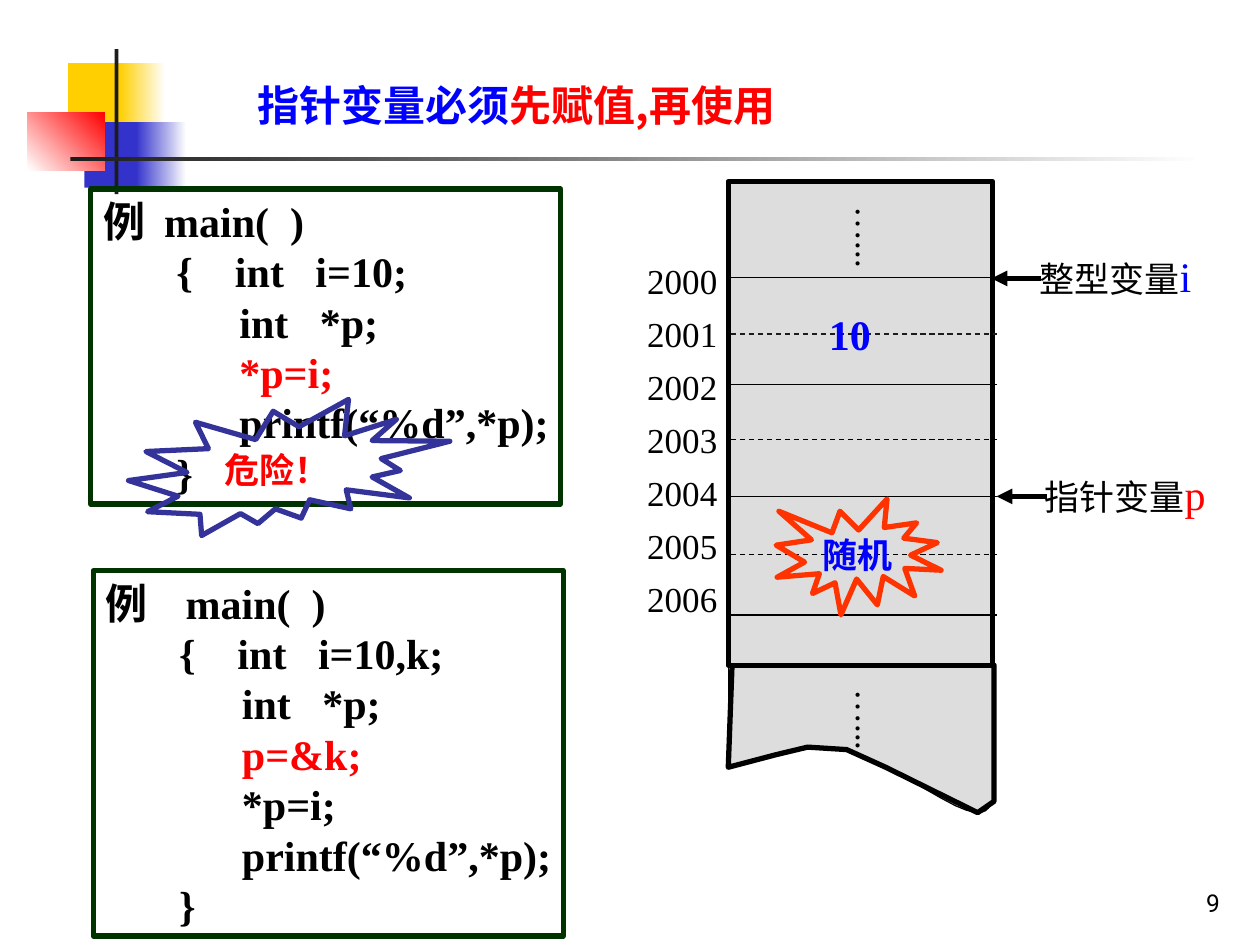
import pptx
import pptx.util
import pptx.dml.color
import pptx.enum.dml
import pptx.enum.shapes
import pptx.enum.text
import pptx.oxml
import pptx.oxml.ns
from lxml import etree

Inches, Pt = pptx.util.Inches, pptx.util.Pt
MSO_SHAPE = pptx.enum.shapes.MSO_SHAPE
ALIGN = pptx.enum.text.PP_ALIGN
ANCHOR = pptx.enum.text.MSO_ANCHOR
qn = pptx.oxml.ns.qn

COLORS = {"black": "000000", "white": "FFFFFF", "red": "FF0000", "blue": "0000FF",
          "yellow": "FFCF01", "indigo": "3333CC", "ink": "1C1C1C", "frame": "003300",
          "warning": "333399", "burst": "FF3300", "memory": "DDDDDD"}
SERIF, SANS, NUMBER_FONT = "Times New Roman", "Noto Sans CJK SC", "Roboto"

# A run is (text, colour) with optional size and font after it.
TITLE = [[("指针变量必须", "blue"), ("先赋值,再使用", "red")]]
UNSAFE_CODE = [
    [("例  ", "black", 24, SANS), ("main(  )", "black")],
    [("       {    int   i=10;", "black")],
    [("             int   *p;", "black")],
    [("             *p=i;", "red")],
    [("             printf(“%d”,*p);", "black")],
    [("       }", "black")],
]
SAFE_CODE = [
    [("例    main(  )", "black")],
    [("       {    int   i=10,k;", "black")],
    [("             int   *p;", "black")],
    [("             p=&k;", "red")],
    [("             *p=i;", "black")],
    [("             printf(“%d”,*p);", "black")],
    [("       }", "black")],
]
ADDRESSES = ["2000", "2001", "2002", "2003", "2004", "2005", "2006"]
VARIABLES = [  # label runs, label box, arrow start and end x, arrow y
    ([[("整型变量", "black"), ("i", "blue", 24)]], (8.15, 1.94, 1.47, 0.5), 8.26, 7.87, 2.21),
    ([[("指针变量", "black"), ("p", "red", 24)]], (8.19, 3.67, 1.54, 0.5), 8.31, 7.91, 3.94),
]
DECORATION = [  # box, gradient start, gradient end (None is solid), angle
    ((0.54, 0.5, 0.48, 0.52), "yellow", None, 0),
    ((0.95, 0.5, 0.36, 0.52), "yellow", "white", 0),
    ((0.67, 0.97, 0.46, 0.52), "indigo", None, 0),
    ((1.08, 0.97, 0.4, 0.52), "indigo", "white", 0),
    ((0.22, 0.89, 0.61, 0.46), "white", "red", 45),
    ((0.91, 0.39, 0.03, 1.15), "ink", None, 0),
    ((0.56, 1.25, 9, 0.03), "ink", "white", 0),
]
CELL_LINES = [  # y, colour, dashed
    (2.2, "black", False), (2.65, "ink", True), (3.05, "black", False),
    (3.49, "black", True), (3.94, "black", False), (4.4, "black", True),
    (4.88, "black", False),
]
TORN_EDGE = [(5.81, 5.28), (7.89, 5.28), (7.89, 6.36), (7.76, 6.45), (7.03, 6.09),
             (6.72, 5.95), (6.41, 5.93), (6.16, 5.99), (5.78, 6.09)]
TEAR_CURVE = [(5.78, 6.1), (6.06, 5.99), (6.34, 5.88), (6.65, 5.94), (6.97, 5.99),
              (7.47, 6.37), (7.67, 6.43), (7.88, 6.5), (7.85, 6.35), (7.89, 6.33)]


def rgb(name):
    return pptx.dml.color.RGBColor.from_string(COLORS[name])


def inches(values):
    return [Inches(value) for value in values]


def paint(shape, fill, line, width):
    shape.shadow.inherit = False
    if fill:
        shape.fill.solid()
        shape.fill.fore_color.rgb = rgb(fill)
    else:
        shape.fill.background()
    if line:
        shape.line.color.rgb = rgb(line)
        shape.line.width = Pt(width)
    else:
        shape.line.fill.background()


def add_box(kind, box, fill=None, line=None, width=3):
    shape = slide.shapes.add_shape(kind, *inches(box))
    paint(shape, fill, line, width)
    return shape


def add_outline(points, closed, fill, width):
    corners = [inches(point) for point in points]
    builder = slide.shapes.build_freeform(*corners[0], scale=1.0)
    builder.add_line_segments(corners[1:], close=closed)
    paint(builder.convert_to_shape(), fill, "black", width)


def add_line(x1, y1, x2, y2, color="black", width=0.75, dashed=False, arrow=False):
    line = slide.shapes.add_connector(
        pptx.enum.shapes.MSO_CONNECTOR.STRAIGHT, *inches((x1, y1, x2, y2)))
    line.line.color.rgb = rgb(color)
    line.line.width = Pt(width)
    if dashed:
        line.line.dash_style = pptx.enum.dml.MSO_LINE.DASH
    if arrow:
        etree.SubElement(line.line._get_or_add_ln(), qn("a:tailEnd"), type="triangle")
    etree.SubElement(line._element.spPr, qn("a:effectLst"))


def write(shape, paragraphs, size=20, bold=False, align=ALIGN.CENTER,
          anchor=ANCHOR.MIDDLE, font=SERIF, wrap=False):
    frame = shape.text_frame
    frame.word_wrap = wrap
    frame.auto_size = pptx.enum.text.MSO_AUTO_SIZE.NONE
    frame.vertical_anchor = anchor
    frame.margin_left = frame.margin_right = Inches(0.1)
    frame.margin_top = frame.margin_bottom = Inches(0.05)
    for index, runs in enumerate(paragraphs):
        paragraph = frame.paragraphs[0] if index == 0 else frame.add_paragraph()
        paragraph.alignment = align
        for text, color, *special in runs:
            run = paragraph.add_run()
            run.text = text
            run.font.size = Pt(special[0] if special else size)
            run.font.bold = bold
            run.font.color.rgb = rgb(color)
            run.font.name = special[1] if len(special) > 1 else font
            etree.SubElement(run.font._element, qn("a:ea"), typeface=SANS)


def add_text(box, paragraphs, **style):
    label = slide.shapes.add_textbox(*inches(box))
    write(label, paragraphs, **style)
    return label


def curve_points(controls, steps=8):
    """Sample a chain of cubic Bezier curves that share their end points."""
    points = [controls[0]]
    for start in range(0, len(controls) - 1, 3):
        a, b, c, d = controls[start:start + 4]
        for step in range(1, steps + 1):
            t = step / steps
            u = 1 - t
            points.append(tuple(
                u**3 * a[k] + 3 * u * u * t * b[k] + 3 * u * t * t * c[k] + t**3 * d[k]
                for k in (0, 1)))
    return points


presentation = pptx.Presentation()
presentation.slide_width, presentation.slide_height = Inches(10), Inches(7.5)
slide = presentation.slides.add_slide(presentation.slide_layouts[5])

for box, start, end, angle in DECORATION:
    block = add_box(MSO_SHAPE.RECTANGLE, box, start)
    if end:
        block.fill.gradient()
        block.fill.gradient_angle = angle
        for stop, color, position in zip(block.fill.gradient_stops, (start, end), (0, 1)):
            stop.color.rgb = rgb(color)
            stop.position = position

title = slide.shapes.title
title.left, title.top, title.width, title.height = inches((1.82, 0.58, 4.56, 0.5))
write(title, TITLE, size=24, bold=True, font=SANS)

unsafe = add_box(MSO_SHAPE.RECTANGLE, (0.72, 1.5, 3.73, 2.5), line="frame")
write(unsafe, UNSAFE_CODE, size=24, bold=True, align=ALIGN.LEFT)
danger = add_box(MSO_SHAPE.EXPLOSION2, (1.02, 3.17, 2.55, 1.08), line="warning")
write(danger, [[("危险！", "red")]], bold=True)
safe = add_box(MSO_SHAPE.RECTANGLE, (0.74, 4.53, 3.73, 2.9), line="frame")
write(safe, SAFE_CODE, size=24, bold=True, align=ALIGN.LEFT)

add_outline(curve_points(TEAR_CURVE), False, None, 0.75)
add_outline(TORN_EDGE, True, "memory", 3)
add_box(MSO_SHAPE.RECTANGLE, (5.78, 1.44, 2.1, 3.84), "memory", "black")
for y, color, dashed in CELL_LINES:
    add_line(5.8, y, 7.91, y, color, dashed=dashed)
for x, bottom in ((5.78, 6.09), (7.89, 6.34)):
    add_line(x, 5.3, x, bottom)

for top in (1.54, 5.37):
    dots = add_text((6.64, top, 0.53, 0.59), [[("…...", "black")]])
    dots.text_frame._txBody.bodyPr.set("vert", "eaVert")
    dots.text_frame.margin_left = dots.text_frame.margin_right = Inches(0.05)
    dots.text_frame.margin_top = dots.text_frame.margin_bottom = Inches(0.1)
for row, address in enumerate(ADDRESSES):
    add_text((5.04, 2.01 + 0.42 * row, 0.75, 0.44), [[(address, "black")]])
for label, box, start, end, y in VARIABLES:
    add_line(start, y, end, y, width=3, arrow=True)
    add_text(box, label, align=ALIGN.LEFT, anchor=ANCHOR.TOP)

add_text((6.48, 2.4, 0.53, 0.5), [[("10", "blue")]], size=24, bold=True)
add_text((6.43, 4.18, 0.75, 0.44), [[("随机", "blue")]], bold=True)
add_box(MSO_SHAPE.EXPLOSION1, (6.16, 3.96, 1.31, 0.92), line="burst")
add_text((7.7, 6.83, 2.08, 0.5), [[("9", "black")]], size=14, align=ALIGN.RIGHT,
         anchor=ANCHOR.BOTTOM, font=NUMBER_FONT, wrap=True)

presentation.save("out.pptx")
